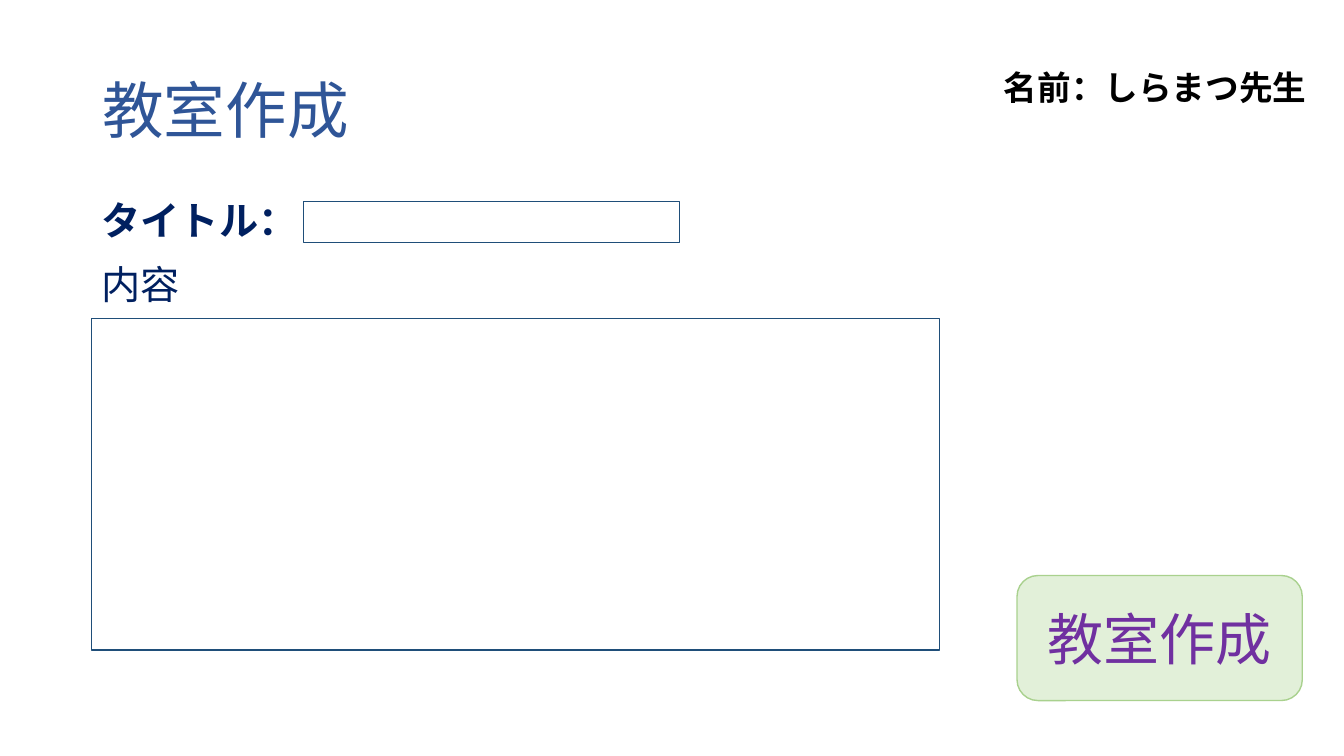
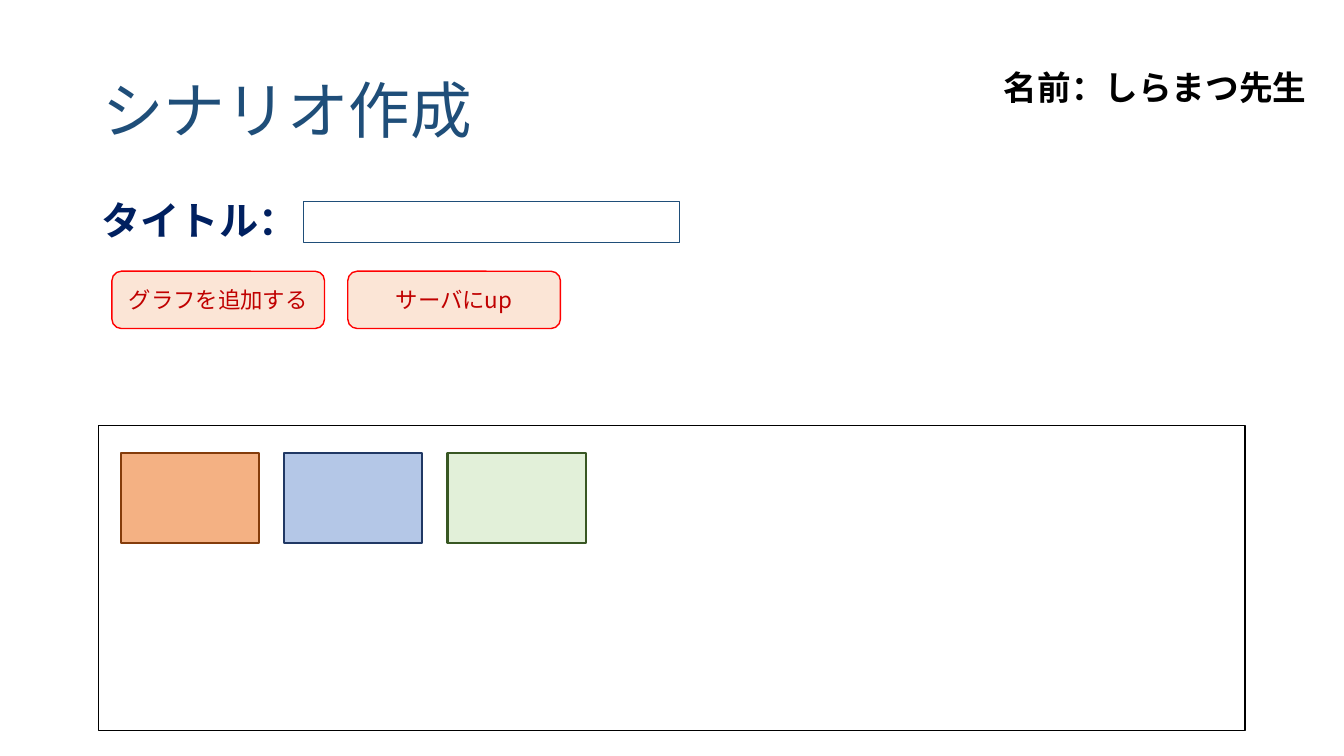
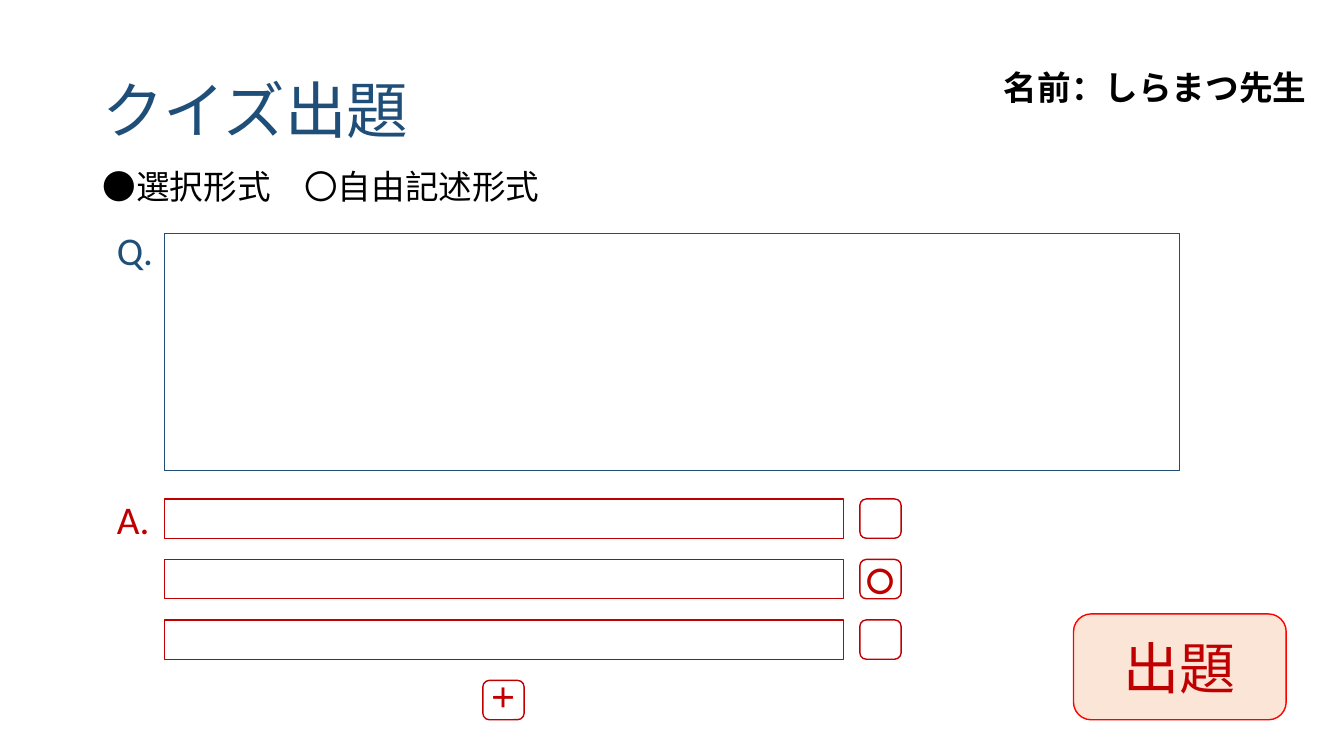
import pptx
import pptx.util
import pptx.dml.color
import pptx.enum.shapes
import pptx.enum.text
import pptx.oxml.ns
import lxml.etree
import dataclasses


@dataclasses.dataclass(frozen=True)
class Theme:
    japanese: str = "Noto Sans CJK JP"
    latin: str = "Calibri"
    white: str = "FFFFFF"
    black: str = "000000"
    blue: str = "1F4E79"
    title_blue: str = "2F5597"
    navy: str = "002060"
    red: str = "C00000"
    bright_red: str = "FF0000"
    peach: str = "FBE5D6"
    pale_green: str = "E2F0D9"
    green: str = "A9D18E"
    purple: str = "7030A0"
    cards: tuple = (("F4B183", "843C0B"), ("B4C7E7", "203864"), ("E2F0D9", "385723"))
    title: int = 44
    action: int = 40
    label: int = 28
    body: int = 24
    mark: int = 20
    button: int = 16


theme = Theme()
ALIGN = pptx.enum.text.PP_ALIGN
ANCHOR = pptx.enum.text.MSO_ANCHOR
FIT = pptx.enum.text.MSO_AUTO_SIZE
RECT = pptx.enum.shapes.MSO_SHAPE.RECTANGLE
ROUNDED = pptx.enum.shapes.MSO_SHAPE.ROUNDED_RECTANGLE

deck = pptx.Presentation()
deck.slide_width = pptx.util.Inches(13.333)
deck.slide_height = pptx.util.Inches(7.5)
column = deck.slide_width / 40
row = deck.slide_height / 24


def write(slide, words, place, size, color, bold=False, face=theme.japanese,
          frame_format=None, paragraph_format=None, holder=None):
    if holder is None:
        left, top, width, height = place
        holder = slide.shapes.add_textbox(
            int(left * column), int(top * row), int(width * column), int(height * row))
    frame = holder.text_frame
    paragraph = frame.paragraphs[0]
    run = paragraph.add_run()
    run.text = words
    formats = (
        (frame, {"word_wrap": True, "auto_size": FIT.SHAPE_TO_FIT_TEXT, **(frame_format or {})}),
        (paragraph, paragraph_format or {}),
        (run.font, {"size": pptx.util.Pt(size), "bold": bold, "name": face}),
        (run.font.fill, {}),
    )
    for target, values in formats:
        for attribute, value in values.items():
            setattr(target, attribute, value)
    run.font.color.rgb = pptx.dml.color.RGBColor.from_string(color)
    east_asian = lxml.etree.SubElement(run._r.get_or_add_rPr(), pptx.oxml.ns.qn("a:ea"))
    east_asian.set("typeface", theme.japanese)


def panel(slide, place, line, fill=theme.white, outline=RECT, weight=1,
          words=None, size=None, color=None):
    left, top, width, height = place
    box = slide.shapes.add_shape(
        outline, int(left * column), int(top * row), int(width * column), int(height * row))
    box.shadow.inherit = False
    box.fill.solid()
    box.fill.fore_color.rgb = pptx.dml.color.RGBColor.from_string(fill)
    box.line.color.rgb = pptx.dml.color.RGBColor.from_string(line)
    box.line.width = pptx.util.Pt(weight)
    if words:
        write(slide, words, place, size, color, holder=box,
              frame_format={"vertical_anchor": ANCHOR.MIDDLE, "auto_size": FIT.NONE},
              paragraph_format={"alignment": ALIGN.CENTER})


pages = []
for heading, heading_color, has_title_field in (
    ("教室作成", theme.title_blue, True),
    ("シナリオ作成", theme.blue, True),
    ("クイズ出題", theme.blue, False),
):
    page = deck.slides.add_slide(deck.slide_layouts[6])
    pages.append(page)
    write(page, heading, (2.75, 1.28, 34.5, 4.64), theme.title, heading_color,
          frame_format={"vertical_anchor": ANCHOR.MIDDLE, "auto_size": FIT.NONE},
          paragraph_format={"line_spacing": 0.9})
    write(page, "名前：しらまつ先生", (29.58, 1.98, 10.44, 1.6), theme.body, theme.black, bold=True)
    if has_title_field:
        write(page, "タイトル：", (2.73, 6.08, 11.19, 1.82), theme.label, theme.navy, bold=True)
        panel(page, (9.03, 6.4, 11.19, 1.31), theme.blue)

classroom, scenario, quiz = pages

panel(classroom, (2.73, 10.11, 25.23, 10.53), theme.blue)
write(classroom, "内容", (2.73, 8.1, 4.29, 1.82), theme.label, theme.navy)
panel(classroom, (30.27, 18.27, 8.49, 3.97), theme.green, theme.pale_green, ROUNDED,
      words="教室作成", size=theme.action, color=theme.purple)

panel(scenario, (2.94, 13.5, 34.11, 9.7), theme.black)
for position, (card_fill, card_line) in enumerate(theme.cards):
    panel(scenario, (3.6 + 4.86 * position, 14.37, 4.11, 2.88), card_line, card_fill, weight=1.5)
for position, command in enumerate(("グラフを追加する", "サーバにup")):
    panel(scenario, (3.33 + 7.02 * position, 8.61, 6.33, 1.82), theme.bright_red, theme.peach,
          ROUNDED, words=command, size=theme.button, color=theme.red)

write(quiz, "●選択形式　〇自由記述形式", (2.76, 5.12, 15.27, 1.6), theme.body, theme.black)
panel(quiz, (4.89, 7.42, 30.21, 7.52), theme.blue)
for letter, letter_top, letter_color in (("Q.", 7.04, theme.blue), ("A.", 15.55, theme.red)):
    write(quiz, letter, (3.18, letter_top, 2.37, 1.82), theme.label, letter_color, face=theme.latin)
for answer in range(3):
    answer_top = 15.84 + 1.92 * answer
    panel(quiz, (4.89, answer_top, 20.22, 1.25), theme.red)
    panel(quiz, (25.59, answer_top, 1.23, 1.25), theme.red, outline=ROUNDED)
panel(quiz, (14.37, 21.6, 1.23, 1.25), theme.red, outline=ROUNDED)
for mark, mark_left, mark_top in (("〇", 25.5, 17.76), ("＋", 14.28, 21.44)):
    write(quiz, mark, (mark_left, mark_top, 1.44, 1.41), theme.mark, theme.red, bold=True,
          frame_format={"word_wrap": False})
panel(quiz, (31.95, 19.49, 6.33, 3.36), theme.bright_red, theme.peach, ROUNDED,
      words="出題", size=theme.action, color=theme.red)

deck.save("out.pptx")
